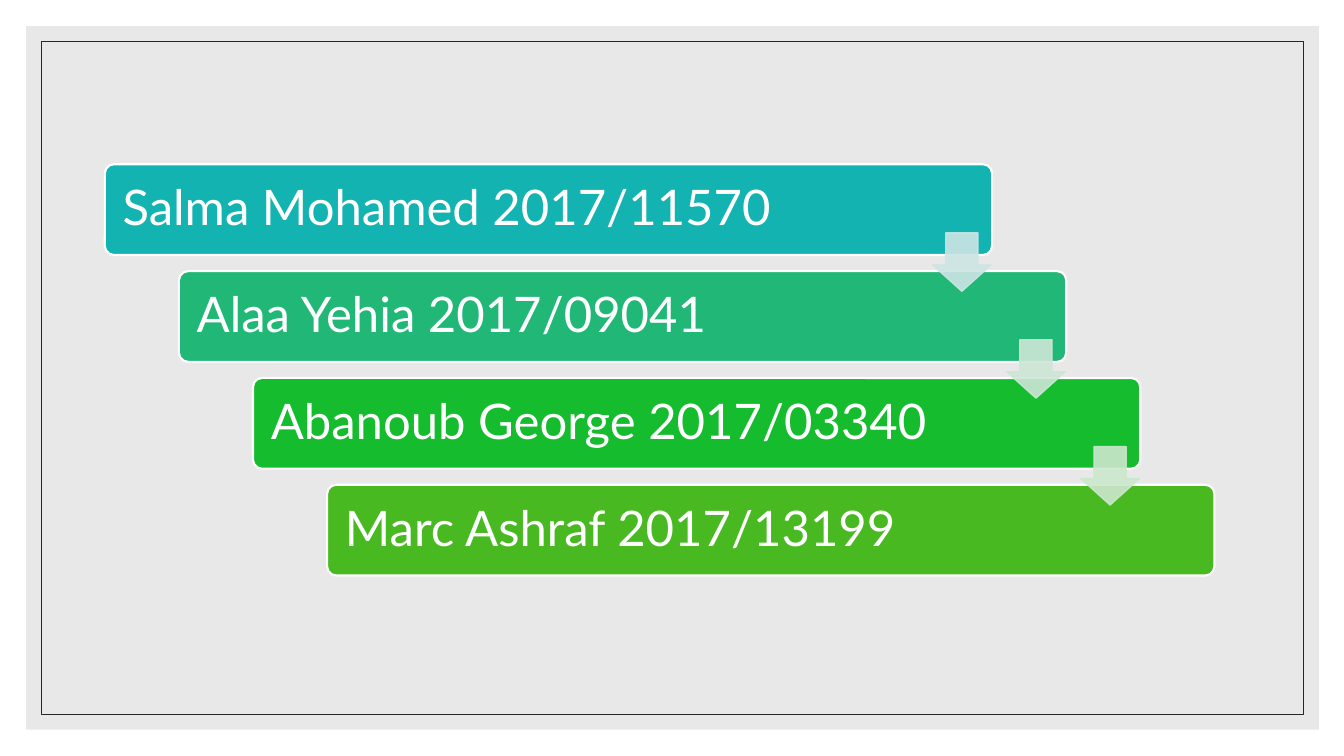
from lxml import etree
from pptx import Presentation
from pptx.dml.color import RGBColor
from pptx.enum.shapes import MSO_SHAPE as Kind
from pptx.enum.text import MSO_ANCHOR as Anchor, PP_ALIGN as Align
from pptx.oxml.ns import qn
from pptx.util import Inches, Pt

WHITE = RGBColor(0xFF, 0xFF, 0xFF)
GRAY = RGBColor(0xD9, 0xD9, 0xD9)
DARK = RGBColor(0x26, 0x26, 0x26)
TEAL = RGBColor(0x13, 0xB3, 0xB1)
JADE = RGBColor(0x21, 0xB8, 0x77)
GREEN = RGBColor(0x14, 0xBC, 0x2E)
LIME = RGBColor(0x49, 0xB9, 0x21)
PALE_TEAL = RGBColor(0xCC, 0xE5, 0xE4)
PALE_JADE = RGBColor(0xCD, 0xE6, 0xD6)
PALE_GREEN = RGBColor(0xCC, 0xE7, 0xCD)

deck = Presentation()
deck.slide_width = Inches(13.33)
deck.slide_height = Inches(7.5)
slide = deck.slides.add_slide(deck.slide_layouts[6])
slide.background.fill.solid()
slide.background.fill.fore_color.rgb = WHITE


def add(kind, left, top, width, height, fill=None, line=None, weight=1):
    shape = slide.shapes.add_shape(
        kind, Inches(left), Inches(top), Inches(width), Inches(height))
    shape.shadow.inherit = False
    if fill is None:
        shape.fill.background()
    else:
        shape.fill.solid()
        shape.fill.fore_color.rgb = fill
    if line is None:
        shape.line.fill.background()
    else:
        shape.line.color.rgb = line
        shape.line.width = Pt(weight)
    return shape


def fade(shape, percent):
    for color in shape.element.spPr.iter(qn("a:srgbClr")):
        etree.SubElement(color, qn("a:alpha"), val=str(percent * 1000))


panel = add(Kind.RECTANGLE, 0.26, 0.26, 12.82, 6.98, GRAY)
fade(panel, 60)
add(Kind.RECTANGLE, 0.41, 0.41, 12.52, 6.68, line=DARK, weight=0.5)

LEFT, TOP = 1.04, 1.63
STEP_X, STEP_Y = 0.735, 1.06
people = [
    ("Salma Mohamed 2017/11570", TEAL),
    ("Alaa Yehia 2017/09041", JADE),
    ("Abanoub George 2017/03340", GREEN),
    ("Marc Ashraf 2017/13199", LIME),
]
for i, (name, color) in enumerate(people):
    bar = add(Kind.ROUNDED_RECTANGLE, LEFT + i * STEP_X, TOP + i * STEP_Y,
              8.8, 0.9, color, WHITE, 1.5)
    bar.adjustments[0] = 0.1
    frame = bar.text_frame
    frame.word_wrap = True
    frame.vertical_anchor = Anchor.MIDDLE
    frame.margin_left = frame.margin_right = Inches(0.15)
    frame.margin_top = frame.margin_bottom = Inches(0.15)
    para = frame.paragraphs[0]
    para.text = name
    para.alignment = Align.LEFT
    para.line_spacing = 0.9
    para.font.name = "Lato"
    para.font.size = Pt(35)
    para.font.color.rgb = WHITE

for i, color in enumerate([PALE_TEAL, PALE_JADE, PALE_GREEN]):
    arrow = add(Kind.DOWN_ARROW, LEFT + 8.21 + i * STEP_X,
                TOP + 0.68 + i * STEP_Y, 0.58, 0.58, color, color)
    arrow.adjustments[0] = 0.55
    arrow.adjustments[1] = 0.45
    fade(arrow, 90)

deck.save("out.pptx")
